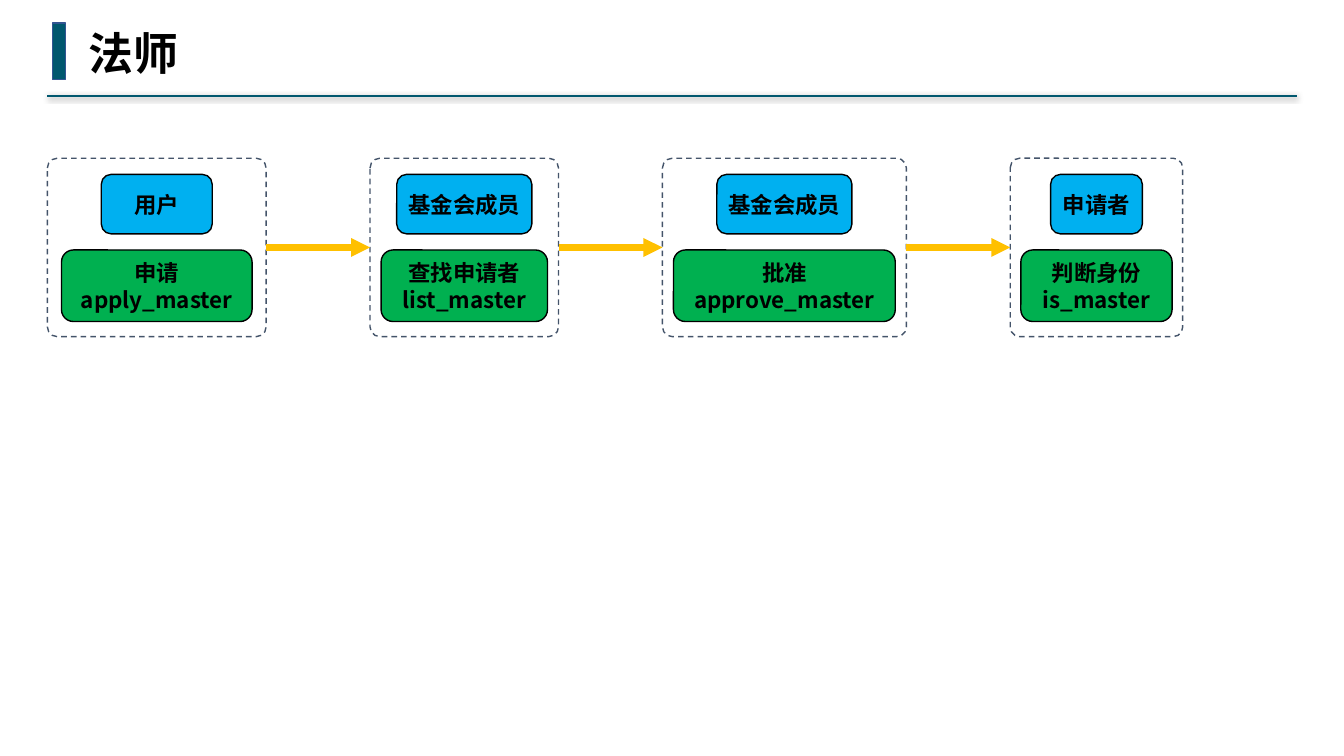
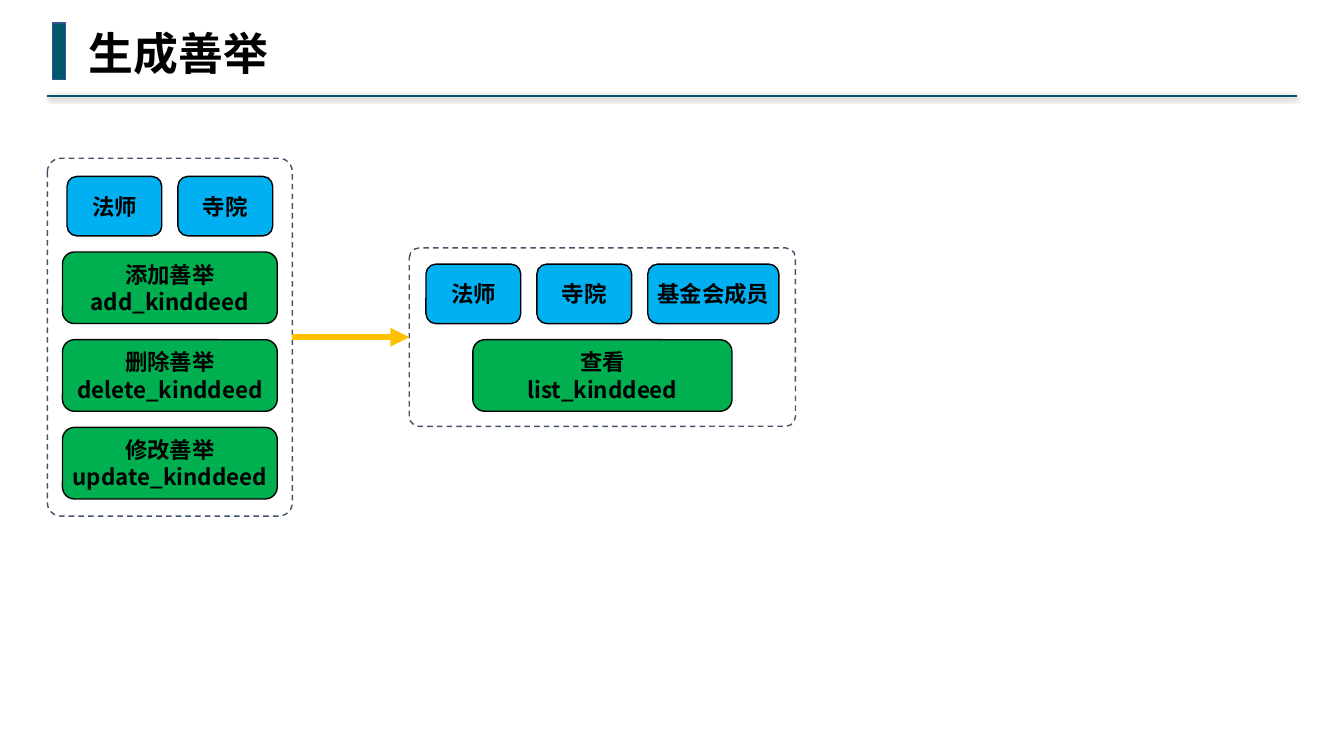
from lxml import etree
from pptx import Presentation
from pptx import util as u
from pptx.dml.color import RGBColor
from pptx.enum import dml, shapes, text
from pptx.oxml import ns

COLORS = {
    "ink": "000000",
    "teal": "00576E",
    "bar_edge": "325491",
    "frame": "44546A",
    "role": "00B0F0",
    "action": "00B050",
    "arrow": "FFC000",
}
TITLE_FONT = "DejaVu Sans Mono"
TEXT_FONT = "Noto Sans CJK SC"
PX = 9144
LEFT, TOP, GAP = 47, 157, 16
ROLE_HEIGHT, ACTION_HEIGHT = 59, 71


def px(value):
    """Turn px into EMU."""
    return u.Emu(round(value * PX))


def color(name):
    """Look up a named colour."""
    return RGBColor.from_string(COLORS[name])


def add_xml(parent, tag, **attributes):
    """Append a drawing element and return it."""
    return etree.SubElement(parent, ns.qn(tag), attributes)


class Deck:
    """Shared style and the current slide."""

    def __init__(self):
        """Start a wide presentation."""
        self.presentation = Presentation()
        self.presentation.slide_width = px(1333)
        self.presentation.slide_height = px(750)
        self.slide = None

    def start_slide(self, title):
        """Add a slide with its heading, bar and rule."""
        self.slide = self.presentation.slides.add_slide(self.presentation.slide_layouts[5])
        heading = self.slide.shapes.title
        heading.left, heading.top, heading.width, heading.height = map(px, (78, 20, 1208, 64))
        frame = heading.text_frame
        frame.auto_size = text.MSO_AUTO_SIZE.NONE
        frame.vertical_anchor = text.MSO_ANCHOR.MIDDLE
        self.bold_text(frame.paragraphs[0], title, 32, 39, TITLE_FONT, text.PP_ALIGN.LEFT)
        self.box(self.slide.shapes, shapes.MSO_SHAPE.RECTANGLE, (52, 23, 13, 56), "teal", "bar_edge")
        rule, effects = self.line("teal", 1.5, (LEFT, 95), (1286, 95))
        shadow = add_xml(effects, "a:outerShdw", blurRad=str(u.Pt(4)), dist=str(u.Pt(1)),
                         dir="5400000", algn="t", rotWithShape="0")
        shade = add_xml(shadow, "a:srgbClr", val=COLORS["ink"])
        add_xml(shade, "a:alpha", val="40000")

    def bold_text(self, paragraph, words, size, leading, font, alignment):
        """Put one bold run in a paragraph."""
        paragraph.alignment = alignment
        paragraph.line_spacing = u.Pt(leading)
        run = paragraph.add_run()
        run.text = words
        run.font.size = u.Pt(size)
        run.font.bold = True
        run.font.name = font
        run.font.color.rgb = color("ink")
        add_xml(run.font._element, "a:ea", typeface=TEXT_FONT)

    def box(self, target, kind, bounds, fill, edge):
        """Add a flat shape, unfilled when fill is None."""
        shape = target.add_shape(kind, *map(px, bounds))
        shape.shadow.inherit = False
        if fill:
            shape.fill.solid()
            shape.fill.fore_color.rgb = color(fill)
        else:
            shape.fill.background()
        shape.line.color.rgb = color(edge)
        shape.line.width = u.Pt(1)
        return shape

    def label(self, target, bounds, fill, lines):
        """Add a rounded box with centred lines."""
        shape = self.box(target, shapes.MSO_SHAPE.ROUNDED_RECTANGLE, bounds, fill, "ink")
        frame = shape.text_frame
        frame.word_wrap = False
        frame.vertical_anchor = text.MSO_ANCHOR.MIDDLE
        frame.margin_left = frame.margin_right = frame.margin_top = frame.margin_bottom = px(4)
        for index, words in enumerate(lines):
            paragraph = frame.add_paragraph() if index else frame.paragraphs[0]
            self.bold_text(paragraph, words, 16, 19.3, TEXT_FONT, text.PP_ALIGN.CENTER)

    def line(self, tint, weight, begin=(0, 0), end=(0, 0)):
        """Add a straight connector and return it with its effect list."""
        connector = self.slide.shapes.add_connector(
            shapes.MSO_CONNECTOR.STRAIGHT, *map(px, begin + end))
        connector.line.color.rgb = color(tint)
        connector.line.width = u.Pt(weight)
        return connector, add_xml(connector._element.spPr, "a:effectLst")

    def arrow(self, source, target):
        """Join the facing sides of two frames."""
        connector, _ = self.line("arrow", 4.5)
        connector.begin_connect(source, 3)
        connector.end_connect(target, 1)
        add_xml(connector.line._get_or_add_ln(), "a:tailEnd", type="triangle")

    def step(self, left, top, width, height, roles, action_width, actions):
        """Add a dashed frame with a row of roles above stacked actions."""
        group = self.slide.shapes.add_group_shape().shapes
        frame = self.box(group, shapes.MSO_SHAPE.ROUNDED_RECTANGLE,
                         (left, top, width, height), None, "frame")
        frame.adjustments[0] = 0.055
        frame.line.dash_style = dml.MSO_LINE.DASH
        center = left + width / 2
        content = ROLE_HEIGHT + len(actions) * (ACTION_HEIGHT + GAP)
        y = top + (height - content + 1) // 2
        x = center - (sum(size for _, size in roles) + GAP * (len(roles) - 1)) / 2
        for name, size in roles:
            self.label(group, (x, y, size, ROLE_HEIGHT), "role", [name])
            x += size + GAP
        y += ROLE_HEIGHT + GAP
        for lines in actions:
            self.label(group, (center - action_width / 2, y, action_width, ACTION_HEIGHT),
                       "action", lines)
            y += ACTION_HEIGHT + GAP
        return frame

    def flow(self, gap, steps):
        """Lay steps out from left to right, middles aligned, with arrows."""
        tallest = max(height for _, height, *_ in steps)
        left, previous = LEFT, None
        for width, height, *content in steps:
            top = TOP + (tallest - height) // 2
            frame = self.step(left, top, width, height, *content)
            if previous:
                self.arrow(previous, frame)
            left, previous = left + width + gap, frame


def main():
    """Build both slides."""
    deck = Deck()
    deck.start_slide("法师")
    deck.flow(103, [
        (217, 177, [("用户", 110)], 189, [("申请", "apply_master")]),
        (187, 177, [("基金会成员", 134)], 165, [("查找申请者", "list_master")]),
        (242, 177, [("基金会成员", 134)], 220, [("批准", "approve_master")]),
        (171, 177, [("申请者", 91)], 150, [("判断身份", "is_master")]),
    ])
    deck.start_slide("生成善举")
    hosts = [("法师", 94), ("寺院", 94)]
    deck.flow(116, [
        (243, 355, hosts, 213, [
            ("添加善举", "add_kinddeed"),
            ("删除善举", "delete_kinddeed"),
            ("修改善举", "update_kinddeed"),
        ]),
        (383, 177, hosts + [("基金会成员", 130)], 257, [("查看", "list_kinddeed")]),
    ])
    deck.presentation.save("out.pptx")


if __name__ == "__main__":
    main()
